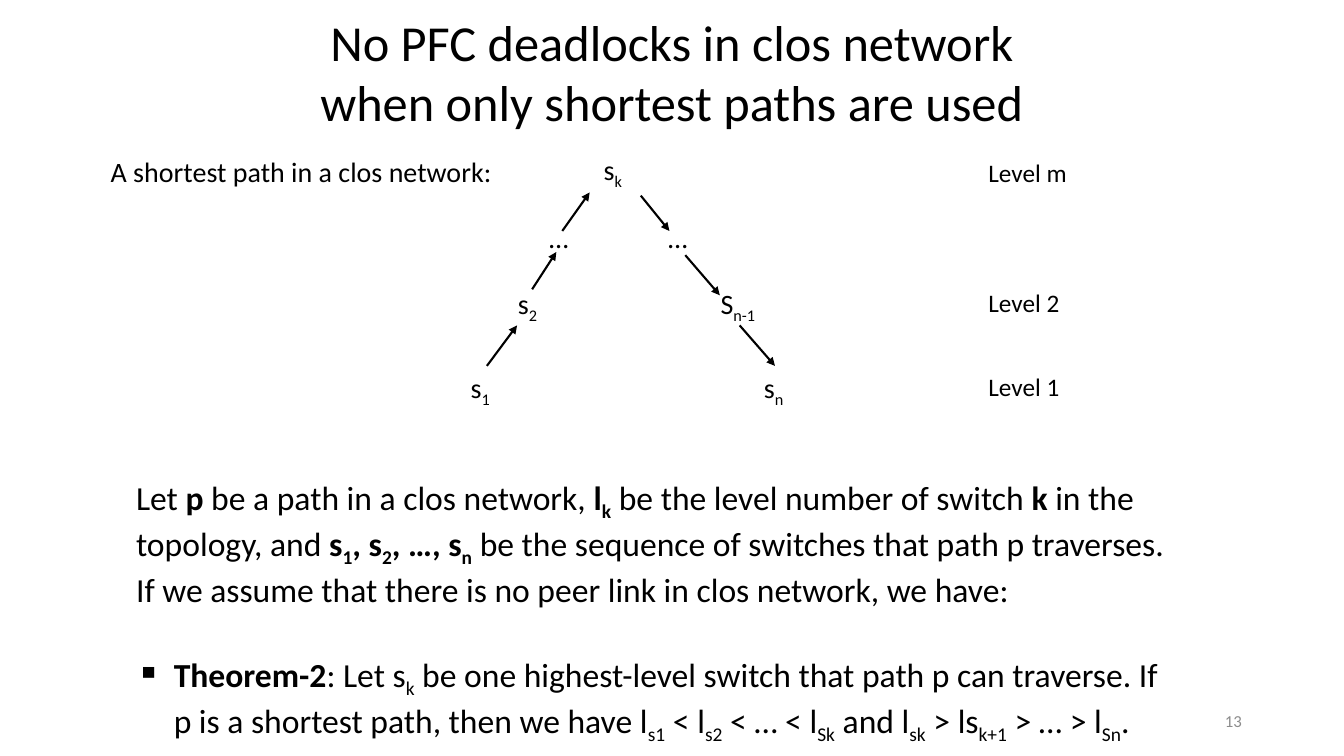
"""Build the slide on deadlock freedom of shortest paths in a clos network."""
from lxml.etree import SubElement
from pptx import Presentation
from pptx.dml.color import RGBColor
from pptx.enum.shapes import MSO_CONNECTOR
from pptx.enum.text import MSO_ANCHOR, MSO_AUTO_SIZE, PP_ALIGN
from pptx.oxml.ns import qn
from pptx.util import Cm, Pt

COLORS = {"text": "000000", "page": "8C8C8C"}
FONT = "Calibri"
BOLD_MARK, SUB_MARK = "*", "_"

TITLE = ["No PFC deadlocks in clos network", "when only shortest paths are used"]
INTRO = ("Let *p* be a path in a clos network, *l_k_* be the level number of switch *k* "
         "in the topology, and *s_1_, s_2_, …, s_n_* be the sequence of switches "
         "that path p traverses.")
ASSUMPTION = "If we assume that there is no peer link in clos network, we have:"
THEOREM = ("*Theorem-2*: Let s_k_ be one highest-level switch that path p can traverse. "
           "If p is a shortest path, then we have l_s1_ < l_s2_ < … < l_Sk_ "
           "and l_sk_ > ls_k+1_ > … > l_Sn_.")
CAPTION = "A shortest path in a clos network:"
PAGE = "13"

ROWS = {"m": 3.73, "dots": 5.44, "2": 7.09, "1": 9.22}
SWITCHES = [
    ("s_1_", "1", 11.61, 1.04), ("s_2_", "2", 12.8, 1.04), ("…", "dots", 13.59, 0.99),
    ("s_k_", "m", 14.96, 1.02), ("…", "dots", 16.59, 0.99),
    ("S_n-1_", "2", 17.91, 1.47), ("s_n_", "1", 19, 1.04),
]
HOPS = [
    (12.27, 9.22, 13.03, 8.2), (13.41, 7.29, 14.02, 6.35), (14.17, 5.82, 14.86, 4.85),
    (16.15, 4.93, 16.87, 5.82), (17.27, 6.43, 18.14, 7.44), (18.64, 8.2, 19.53, 9.22),
]
LEVELS = [("Level m", 3.84, 2.67), ("Level 2", 7.11, 2.46), ("Level 1", 9.22, 2.46)]
LEVEL_LEFT = 24.66
SWITCH_HEIGHT, LEVEL_HEIGHT = 1.12, 1.02
THEOREM_INDENT = Cm(0.95)

deck = Presentation()
deck.slide_width, deck.slide_height = Cm(33.87), Cm(19.05)
slide = deck.slides.add_slide(deck.slide_layouts[6])


def add_marked_runs(paragraph, marked):
    """Add runs, toggling bold and subscript at their marks."""
    bold = False
    for part_index, part in enumerate(marked.split(SUB_MARK)):
        for piece_index, piece in enumerate(part.split(BOLD_MARK)):
            if piece_index:
                bold = not bold
            if piece:
                run = paragraph.add_run()
                run.text = piece
                if bold:
                    run.font.bold = True
                if part_index % 2:
                    run.font._element.set("baseline", "-25000")


def add_text(lines, left, top, width, height, size, color="text",
             align=PP_ALIGN.LEFT, wrap=False, grow=True):
    """Add a text box with one paragraph per line and return its frame."""
    frame = slide.shapes.add_textbox(Cm(left), Cm(top), Cm(width), Cm(height)).text_frame
    frame.word_wrap = wrap
    frame.auto_size = MSO_AUTO_SIZE.SHAPE_TO_FIT_TEXT if grow else MSO_AUTO_SIZE.NONE
    for index, line in enumerate(lines):
        paragraph = frame.add_paragraph() if index else frame.paragraphs[0]
        paragraph.alignment = align
        paragraph.font.name = FONT
        paragraph.font.size = Pt(size)
        paragraph.font.color.rgb = RGBColor.from_string(COLORS[color])
        add_marked_runs(paragraph, line)
    return frame


def add_hop(*ends):
    """Add an arrow from one switch to the next."""
    hop = slide.shapes.add_connector(MSO_CONNECTOR.STRAIGHT, *map(Cm, ends))
    hop.line.color.rgb = RGBColor.from_string(COLORS["text"])
    hop.line.width = Pt(1.5)
    SubElement(hop.line._get_or_add_ln(), qn("a:tailEnd"), type="triangle")
    SubElement(hop._element.spPr, qn("a:effectLst"))


page_frame = add_text([PAGE], 23.93, 17.65, 7.62, 1.02, 12, "page",
                      PP_ALIGN.RIGHT, wrap=True, grow=False)
page_frame.vertical_anchor = MSO_ANCHOR.MIDDLE
add_text(TITLE, 2.62, 0.15, 28.63, 3.33, 36, align=PP_ALIGN.CENTER, wrap=True)

statement = add_text([INTRO, ASSUMPTION, THEOREM], 3.18, 11.89, 26.67, 6.07, 24, wrap=True)
_, assumption, theorem = statement.paragraphs
assumption.space_after = Pt(32)
theorem_format = theorem._p.get_or_add_pPr()
theorem_format.set("marL", str(THEOREM_INDENT))
theorem_format.set("indent", str(-THEOREM_INDENT))
bullet = theorem_format.makeelement(qn("a:buChar"), {"char": "▪"})
theorem_format.insert_element_before(bullet, "a:tabLst", "a:defRPr", "a:extLst")

add_text([CAPTION], 2.54, 3.78, 10.21, SWITCH_HEIGHT, 20)
for switch, row, left, width in SWITCHES:
    add_text([switch], left, ROWS[row], width, SWITCH_HEIGHT, 20)
for hop_ends in HOPS:
    add_hop(*hop_ends)
for level, top, width in LEVELS:
    add_text([level], LEVEL_LEFT, top, width, LEVEL_HEIGHT, 18)

deck.save("out.pptx")
